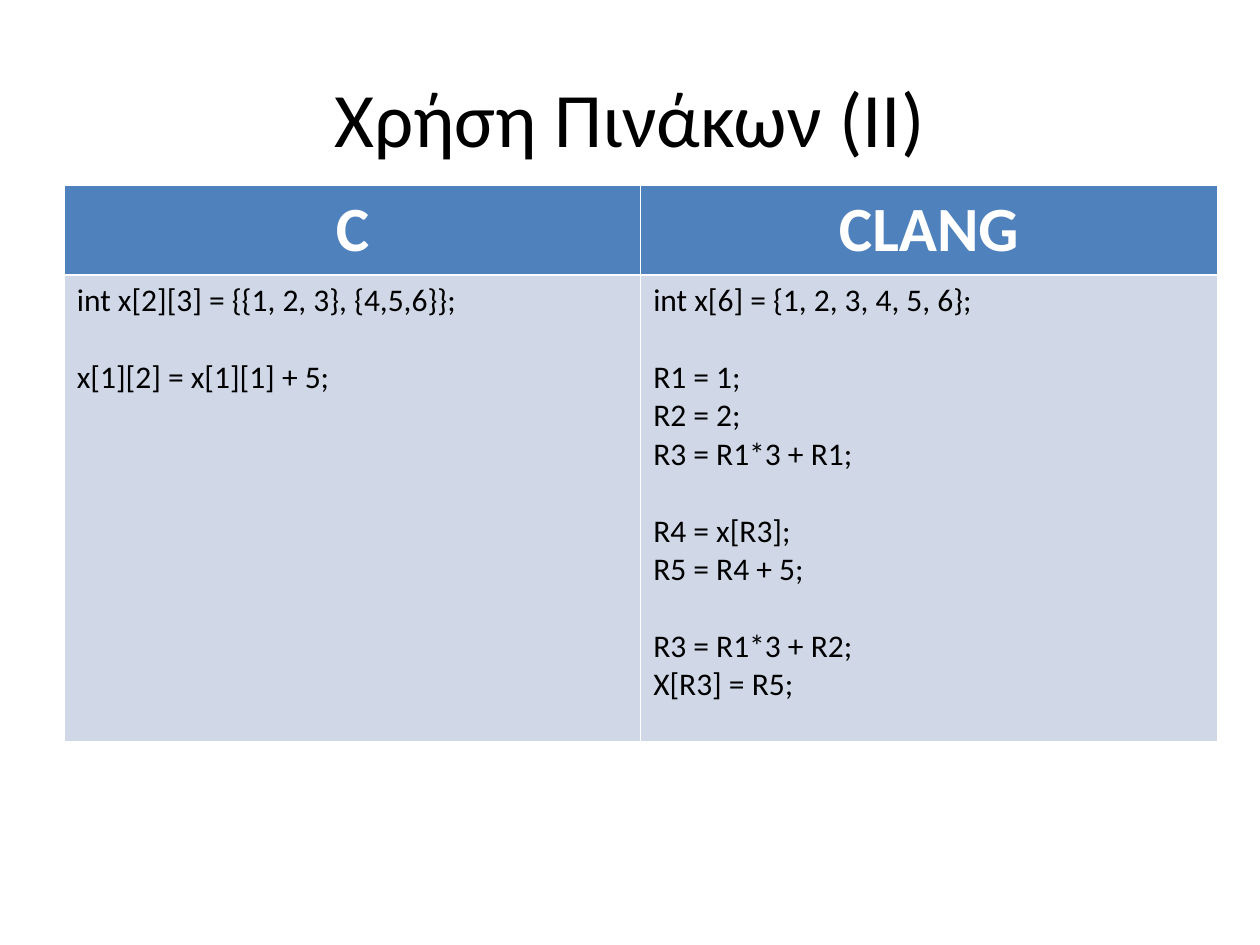
from lxml.etree import SubElement
from pptx import Presentation
from pptx.dml.color import RGBColor
from pptx.enum.text import MSO_ANCHOR, PP_ALIGN
from pptx.oxml.ns import qn
from pptx.util import Inches, Pt

FONT = "Calibri"
COLORS = {"ink": "000000", "paper": "FFFFFF", "head": "4F81BD", "body": "D0D8E8"}
THIN, THICK = 0.45, 1.47
LINE = 22  # height of one code line, in points

# Each column: a heading and its code, in blocks of lines set apart by a gap
CODE = {
    "C": [
        ["int x[2][3] = {{1, 2, 3}, {4,5,6}};"],
        ["x[1][2] = x[1][1] + 5;"],
    ],
    "CLANG": [
        ["int x[6] = {1, 2, 3, 4, 5, 6};"],
        ["R1 = 1;", "R2 = 2;", "R3 = R1*3 + R1;"],
        ["R4 = x[R3];", "R5 = R4 + 5;"],
        ["R3 = R1*3 + R2;", "X[R3] = R5;"],
    ],
}


def add_run(para, text, size, color, bold=False):
    run = para.add_run()
    run.text = text
    font = run.font
    font.name, font.size, font.bold = FONT, Pt(size), bold
    font.color.rgb = RGBColor.from_string(COLORS[color])


def style_cell(cell, fill, top, bottom):
    """Set white borders, with the given top and bottom widths, and a fill."""
    props = cell._tc.get_or_add_tcPr()
    sides = {"a:lnL": THIN, "a:lnR": THIN, "a:lnT": top, "a:lnB": bottom}
    for tag, width in sides.items():
        edge = SubElement(props, qn(tag), w=str(Pt(width)))
        paint = SubElement(edge, qn("a:solidFill"))
        SubElement(paint, qn("a:srgbClr"), val=COLORS["paper"])
    cell.fill.solid()
    cell.fill.fore_color.rgb = RGBColor.from_string(COLORS[fill])


def fill_head(cell, text):
    style_cell(cell, "head", THIN, THICK)
    para = cell.text_frame.paragraphs[0]
    para.alignment = PP_ALIGN.CENTER
    add_run(para, text, 36, "paper", bold=True)


def fill_code(cell, blocks):
    style_cell(cell, "body", THICK, THIN)
    frame = cell.text_frame
    for b, block in enumerate(blocks):
        for n, line in enumerate(block):
            first = b == n == 0
            para = frame.paragraphs[0] if first else frame.add_paragraph()
            para.space_before = Pt(LINE if b and n == 0 else 0)
            add_run(para, line, 18, "ink")


def set_title(slide, box, text):
    title = slide.shapes.title
    title.left, title.top, title.width, title.height = map(Inches, box)
    frame = title.text_frame
    frame.vertical_anchor = MSO_ANCHOR.MIDDLE
    para = frame.paragraphs[0]
    para.alignment = PP_ALIGN.CENTER
    add_run(para, text, 44, "ink")


def add_code(slide, box, head):
    """Place the code table in the box, with a heading row of the given height."""
    left, top, width, height = map(Inches, box)
    table = slide.shapes.add_table(2, len(CODE), left, top, width, height).table
    table.rows[0].height = Inches(head)
    table.rows[1].height = height - Inches(head)
    for col, (name, blocks) in enumerate(CODE.items()):
        fill_head(table.cell(0, col), name)
        fill_code(table.cell(1, col), blocks)


def main():
    deck = Presentation()
    deck.slide_width, deck.slide_height = Inches(10), Inches(7.5)
    slide = deck.slides.add_slide(deck.slide_layouts[5])
    set_title(slide, (0.5, 0.3, 9, 1.25), "Χρήση Πινάκων (II)")
    add_code(slide, (0.51, 1.47, 9.15, 4.41), head=0.71)
    deck.save("out.pptx")


if __name__ == "__main__":
    main()
